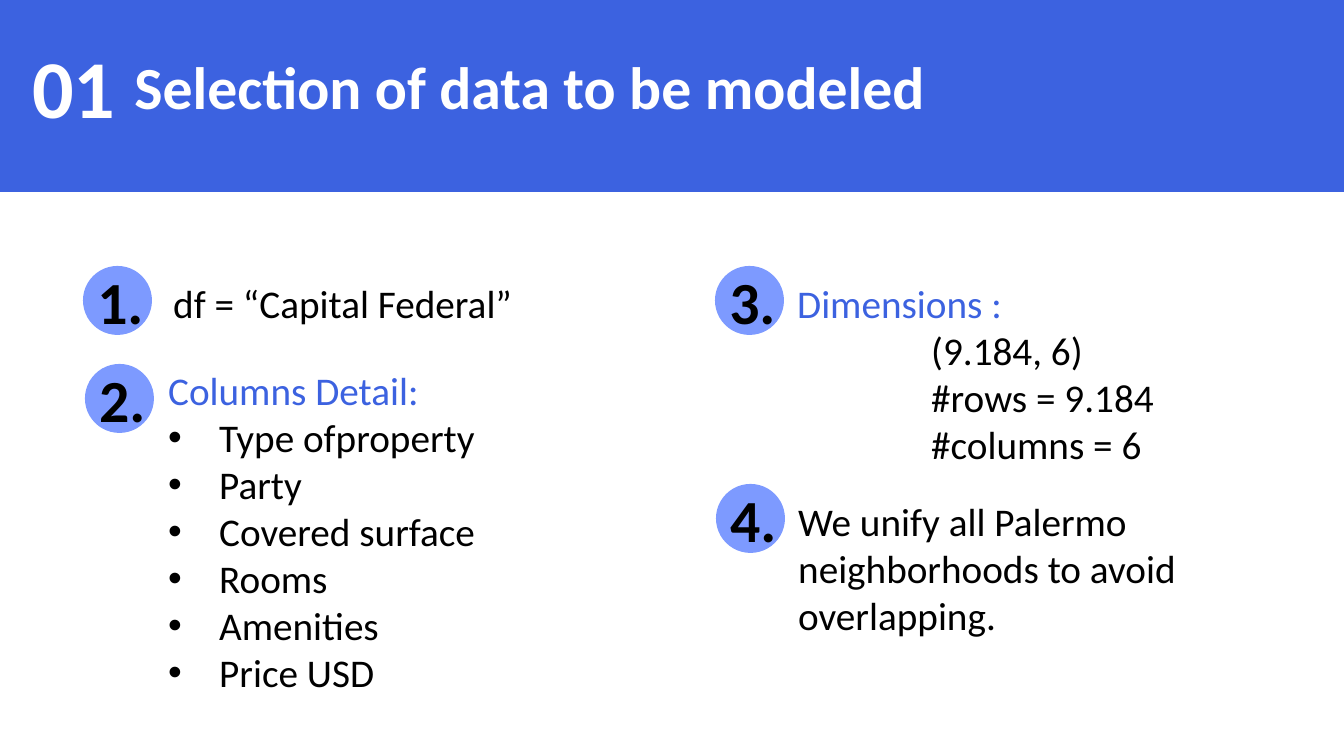
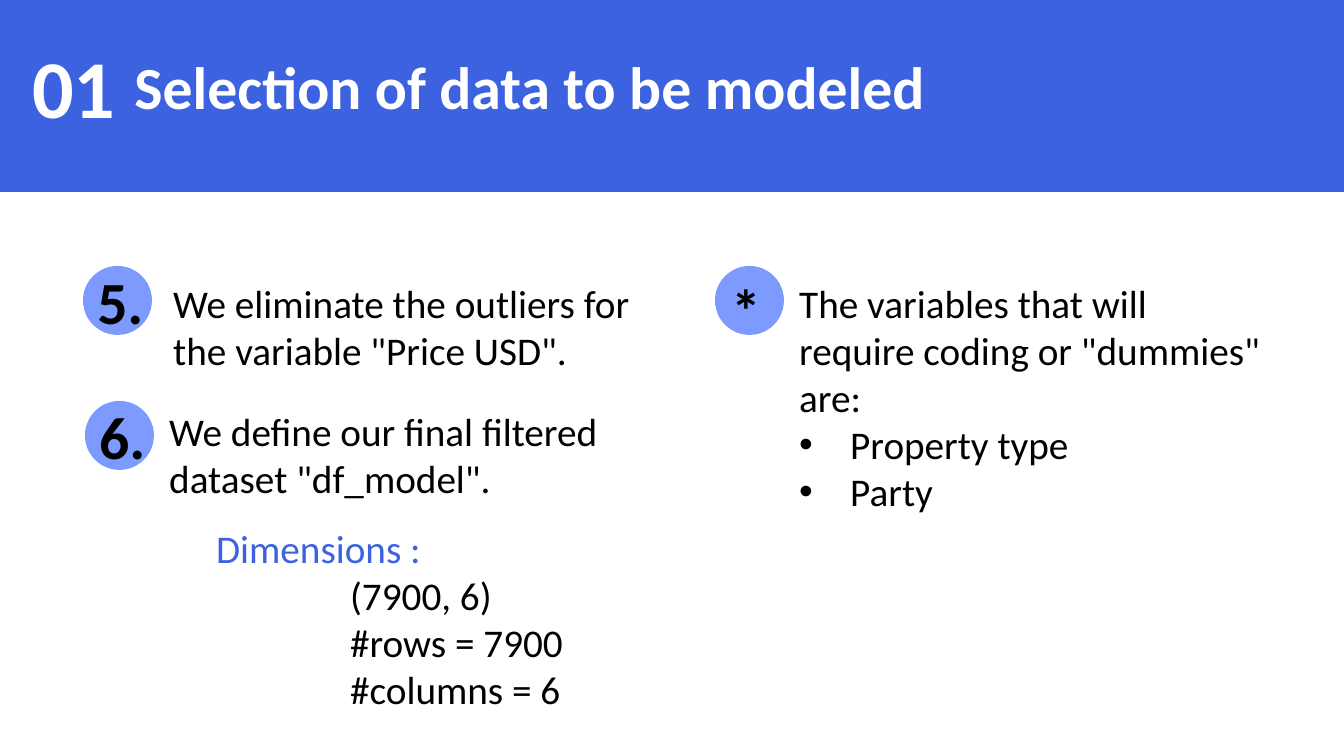
"""Build two slides on selecting the data to be modeled."""
from dataclasses import dataclass
from typing import NamedTuple

from lxml import etree
from pptx import Presentation
from pptx import util as u
from pptx.dml.color import RGBColor
from pptx.enum import shapes, text
from pptx.oxml import ns

EMU_PER_PX = 914400 / 134.4
FONT = "Calibri"
COLORS = {"band": "3C62E0", "badge": "7D9AFF", "white": "FFFFFF", "black": "000000"}
BADGE_SIZE = 69
BULLET_INDENT = 51
DETAIL_INDENT = 134


class Box(NamedTuple):
    left: int
    top: int
    width: int
    height: int


class Line(NamedTuple):
    text: str
    color: str = "black"
    indent: int = 0
    bullet: bool = False


@dataclass
class Badge:
    label: str
    left: int
    top: int
    dx: int = 1
    dy: int = -15


@dataclass
class Note:
    box: Box
    lines: list[Line]


@dataclass
class Page:
    title_width: int
    badges: list[Badge]
    notes: list[Note]


def px(n: float) -> u.Emu:
    return u.Emu(round(n * EMU_PER_PX))


def rgb(name: str) -> RGBColor:
    return RGBColor.from_string(COLORS[name])


def place(sp, box: Box) -> None:
    sp.left, sp.top, sp.width, sp.height = map(px, box)


def format_paragraph(p, line: Line) -> None:
    pPr = p._p.get_or_add_pPr()
    if line.indent:
        pPr.set("marL", str(px(line.indent)))
        pPr.set("indent", str(-px(line.indent) if line.bullet else 0))
    if line.bullet:
        etree.SubElement(pPr, ns.qn("a:buFont"), typeface="Arial")
        etree.SubElement(pPr, ns.qn("a:buChar"), char="•")


def write(sp, lines: list[Line], *, size: int = 21, bold: bool = False,
          align=text.PP_ALIGN.LEFT, inset_y: float = 0.1) -> None:
    tf = sp.text_frame
    tf.word_wrap = True
    tf.auto_size = text.MSO_AUTO_SIZE.NONE
    tf.vertical_anchor = text.MSO_ANCHOR.TOP
    tf.margin_left = tf.margin_right = u.Inches(0.1)
    tf.margin_top = tf.margin_bottom = u.Inches(inset_y)
    for i, line in enumerate(lines):
        p = tf.add_paragraph() if i else tf.paragraphs[0]
        p.alignment = align
        format_paragraph(p, line)
        r = p.add_run()
        r.text = line.text
        r.font.name, r.font.size, r.font.bold = FONT, u.Pt(size), bold
        r.font.color.rgb = rgb(line.color)


def add_text(s, box: Box, lines: list[Line], **fmt) -> None:
    write(s.shapes.add_textbox(*map(px, box)), lines, **fmt)


def add_filled(s, kind, box: Box, color: str):
    sp = s.shapes.add_shape(kind, *map(px, box))
    sp.shadow.inherit = False
    sp.fill.solid()
    sp.fill.fore_color.rgb = rgb(color)
    sp.line.fill.background()
    return sp


def add_band(s) -> None:
    """Draw the header band and move it to the slide's layout, behind all else."""
    band = add_filled(s, shapes.MSO_SHAPE.RECTANGLE, Box(0, 0, 1344, 192), "band")
    s.slide_layout.shapes._spTree.insert(2, band._element)


def add_badge(s, badge: Badge) -> None:
    add_filled(s, shapes.MSO_SHAPE.OVAL,
               Box(badge.left, badge.top, BADGE_SIZE, BADGE_SIZE), "badge")
    add_text(s, Box(badge.left + badge.dx, badge.top + badge.dy, 79, BADGE_SIZE),
             [Line(badge.label)], size=32, bold=True, align=text.PP_ALIGN.JUSTIFY)


def add_page(prs, page: Page):
    s = prs.slides.add_slide(prs.slide_layouts[5])
    title = s.shapes.title
    place(title, Box(121, 43, page.title_width, 86))
    write(title, [Line("Selection of data to be modeled", "white")],
          size=32, bold=True, inset_y=0.05)
    add_text(s, Box(19, 30, 112, 113), [Line("01", "white")],
             size=44, bold=True, inset_y=0.05)
    for badge in page.badges:
        add_badge(s, badge)
    for note in page.notes:
        add_text(s, note.box, note.lines)
    return s


def bullets(*items: str) -> list[Line]:
    return [Line(item, indent=BULLET_INDENT, bullet=True) for item in items]


def dimensions(shape: str, rows: str) -> list[Line]:
    details = (shape, f"#rows = {rows}", "#columns = 6")
    return [Line("Dimensions :", "band"),
            *(Line(d, indent=DETAIL_INDENT) for d in details)]


PAGES = [
    Page(
        891,
        [Badge("1.", 83, 266), Badge("2.", 85, 364),
         Badge("3.", 715, 266), Badge("4.", 716, 484)],
        [Note(Box(160, 266, 410, 54), [Line("df = “Capital Federal”")]),
         Note(Box(155, 353, 505, 372),
              [Line("Columns Detail:", "band"),
               *bullets("Type ofproperty", "Party", "Covered surface",
                        "Rooms", "Amenities", "Price USD")]),
         Note(Box(784, 266, 405, 202), dimensions("(9.184, 6)", "9.184")),
         Note(Box(785, 484, 485, 202),
              [Line("We unify all Palermo neighborhoods to avoid overlapping.")])],
    ),
    Page(
        833,
        [Badge("5.", 83, 266), Badge("6.", 85, 401),
         Badge("*", 715, 266, dx=3, dy=-7)],
        [Note(Box(160, 266, 497, 112),
              [Line('We eliminate the outliers for the variable "Price USD".')]),
         Note(Box(156, 394, 497, 122),
              [Line('We define our final filtered dataset "df_model".')]),
         Note(Box(203, 511, 405, 202), dimensions("(7900, 6)", "7900")),
         Note(Box(786, 266, 497, 54),
              [Line('The variables that will require coding or "dummies" are:'),
               *bullets("Property type", "Party")])],
    ),
]


def main() -> None:
    prs = Presentation()
    prs.slide_width, prs.slide_height = px(1344), px(756)
    slides = [add_page(prs, page) for page in PAGES]
    add_band(slides[0])
    prs.save("out.pptx")


main()
